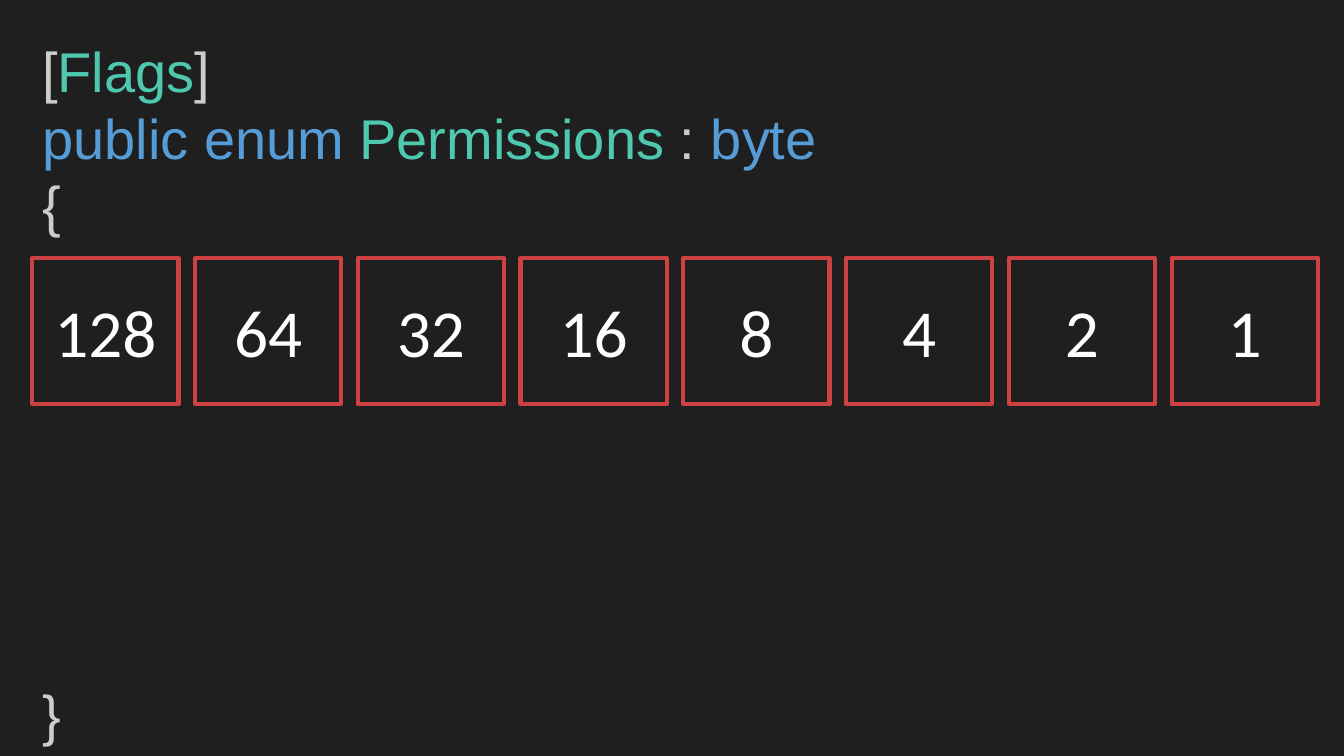
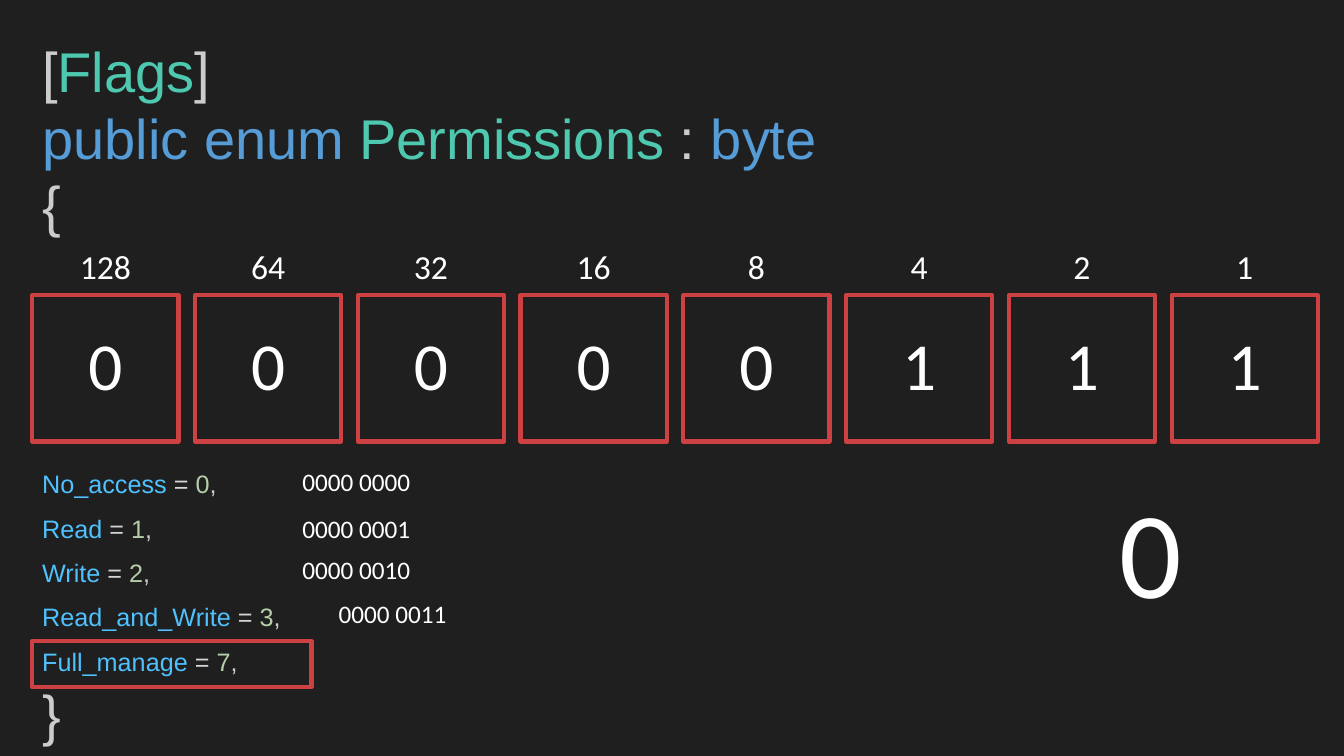
from dataclasses import dataclass
from typing import Optional

import pptx
import pptx.dml.color
import pptx.enum.shapes
import pptx.enum.text
import pptx.slide
import pptx.util

Inches = pptx.util.Inches
Align = pptx.enum.text.PP_ALIGN

COLORS = {
    "background": "1F1F1F",
    "frame": "CD4142",
    "white": "FFFFFF",
    "plain": "CCCCCC",
    "operator": "D4D4D4",
    "keyword": "569CD6",
    "type": "4EC9B0",
    "member": "4FC1FF",
    "number": "B5CEA8",
}
CODE_FONT, DIGIT_FONT = "Arial", "Calibri"

# Shared grid: eight bit cells spread over the content width
LEFT, CONTENT_WIDTH = 0.32, 12.75
CELL = 1.45
WEIGHTS = [2 ** bit for bit in range(7, -1, -1)]
PITCH = (CONTENT_WIDTH - CELL) / (len(WEIGHTS) - 1)


@dataclass(frozen=True)
class Span:
    text: str
    color: str


@dataclass(frozen=True)
class Member:
    name: str
    value: int
    bits: str = ""
    bits_left: float = 2.9
    bits_top: float = 0


HEADER = [
    [Span("[", "plain"), Span("Flags", "type"), Span("]", "plain")],
    [Span("public enum ", "keyword"), Span("Permissions", "type"),
     Span(" : ", "plain"), Span("byte", "keyword")],
    [Span("{", "plain")],
]
MEMBERS = [
    Member("No_access", 0, "0000 0000", bits_top=4.58),
    Member("Read", 1, "0000 0001", bits_top=5.04),
    Member("Write", 2, "0000 0010", bits_top=5.45),
    Member("Read_and_Write", 3, "0000 0011", 3.26, 5.89),
    Member("Full_manage", 7),
]
MEMBERS_TOP, MEMBER_STEP = 4.6, 0.44


def rgb(name: str) -> pptx.dml.color.RGBColor:
    return pptx.dml.color.RGBColor.from_string(COLORS[name])


def add_text(page: pptx.slide.Slide, left: float, top: float, width: float,
             lines: list[list[Span]], size: float, font: str,
             align: Align = Align.LEFT, wrap: bool = True,
             fill: Optional[str] = None) -> None:
    """Add a text box as tall as its lines."""
    height = 0.1 + len(lines) * size * 1.2 / 72
    box = page.shapes.add_textbox(
        Inches(left), Inches(top), Inches(width), Inches(height))
    if fill:
        box.fill.solid()
        box.fill.fore_color.rgb = rgb(fill)
    frame = box.text_frame
    frame.word_wrap = wrap
    frame.auto_size = pptx.enum.text.MSO_AUTO_SIZE.SHAPE_TO_FIT_TEXT
    for index, line in enumerate(lines):
        para = frame.paragraphs[0] if index == 0 else frame.add_paragraph()
        para.alignment = align
        for span in line:
            run = para.add_run()
            run.text = span.text
            run.font.size = pptx.util.Pt(size)
            run.font.name = font
            run.font.color.rgb = rgb(span.color)


def add_digits(page: pptx.slide.Slide, center: float, top: float, text: str,
               size: float, fill: Optional[str] = None) -> None:
    """Add white digits centred on a horizontal position."""
    width = 0.2 + len(text) * size * 0.51 / 72
    add_text(page, center - width / 2, top, width, [[Span(text, "white")]],
             size, DIGIT_FONT, Align.CENTER, wrap=False, fill=fill)


def add_frame(page: pptx.slide.Slide, left: float, top: float,
              width: float, height: float) -> None:
    box = page.shapes.add_shape(
        pptx.enum.shapes.MSO_SHAPE.RECTANGLE,
        Inches(left), Inches(top), Inches(width), Inches(height))
    box.shadow.inherit = False
    box.fill.background()
    box.line.color.rgb = rgb("frame")
    box.line.width = pptx.util.Pt(3)


def add_cells(page: pptx.slide.Slide, top: float) -> None:
    for index in range(len(WEIGHTS)):
        add_frame(page, LEFT + index * PITCH, top, CELL, CELL)


def add_digit_row(page: pptx.slide.Slide, top: float, texts: list[str],
                  size: float) -> None:
    """Add one text above the middle of each cell."""
    for index, text in enumerate(texts):
        add_digits(page, LEFT + index * PITCH + CELL / 2, top, text, size)


def add_code_frame(page: pptx.slide.Slide) -> None:
    """Add the enum's opening lines and closing brace."""
    add_text(page, LEFT, 0.31, CONTENT_WIDTH, HEADER, 40, CODE_FONT)
    add_text(page, LEFT, 6.69, CONTENT_WIDTH, [[Span("}", "plain")]],
             40, CODE_FONT)


def add_member(page: pptx.slide.Slide, top: float, member: Member) -> None:
    line = [Span(f"{member.name} ", "member"), Span("= ", "operator"),
            Span(str(member.value), "number"), Span(",", "plain")]
    add_text(page, LEFT, top, 6.67, [line], 18, CODE_FONT)
    if member.bits:
        add_text(page, member.bits_left, member.bits_top, 1.28,
                 [[Span(member.bits, "white")]], 18, DIGIT_FONT, wrap=False)


def build_weights(page: pptx.slide.Slide) -> None:
    add_cells(page, 2.56)
    add_code_frame(page)
    add_digit_row(page, 2.83, [str(weight) for weight in WEIGHTS], 48)


def build_values(page: pptx.slide.Slide) -> None:
    # Bit cells with their weights and the bits of the last member
    selected = MEMBERS[-1]
    add_cells(page, 2.93)
    add_code_frame(page)
    add_digit_row(page, 2.39, [str(weight) for weight in WEIGHTS], 24)
    add_digit_row(page, 3.16, list(f"{selected.value:08b}"), 48)

    # Enum members and their binary forms
    for index, member in enumerate(MEMBERS):
        add_member(page, MEMBERS_TOP + index * MEMBER_STEP, member)

    # Large counter and the frame around the selected member
    add_digits(page, 11.41, 4.67, "0", 88, fill="background")
    add_frame(page, LEFT, 6.36, 2.77, 0.46)


def main() -> None:
    deck = pptx.Presentation()
    deck.slide_width, deck.slide_height = Inches(13.33), Inches(7.5)
    backdrop = deck.slide_master.background.fill
    backdrop.solid()
    backdrop.fore_color.rgb = rgb("background")
    for build in (build_weights, build_values):
        build(deck.slides.add_slide(deck.slide_layouts[6]))
    deck.save("out.pptx")


if __name__ == "__main__":
    main()
